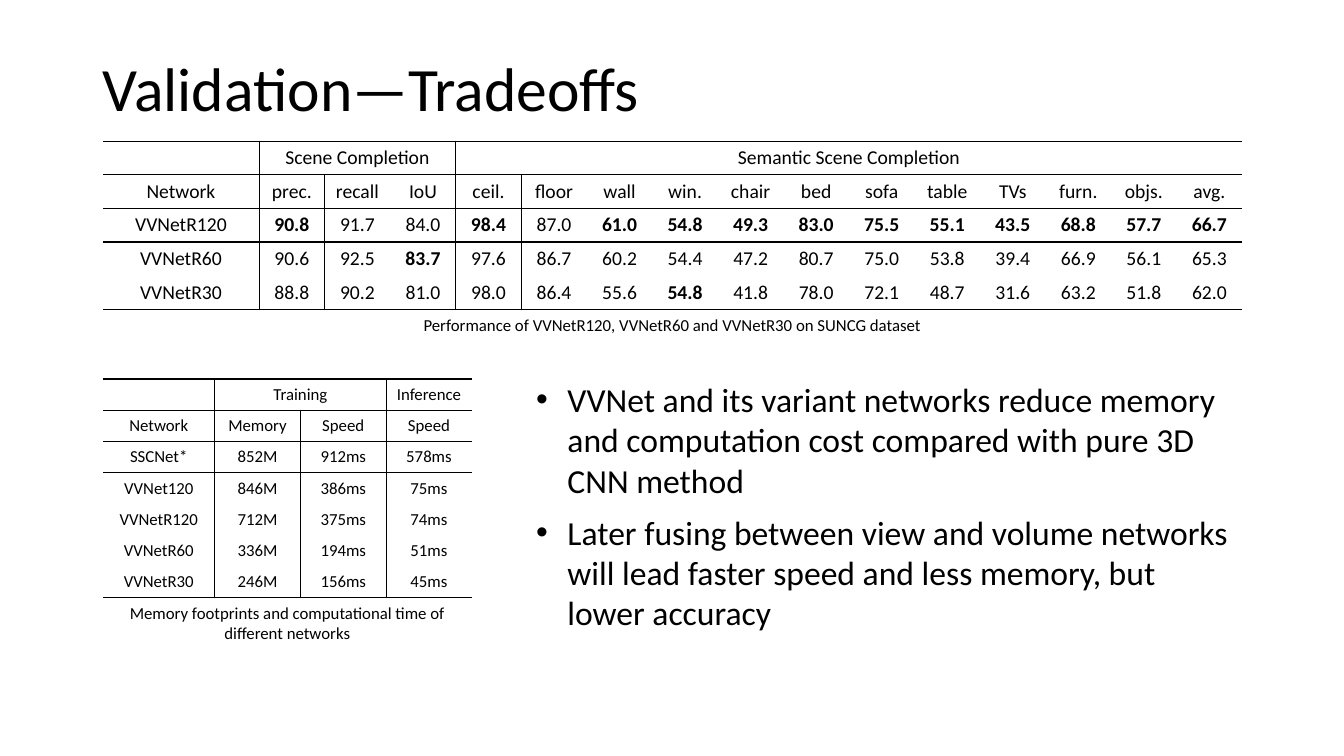
from lxml.etree import SubElement as Sub
from pptx import Presentation
from pptx.dml.color import RGBColor
from pptx.enum.text import MSO_ANCHOR as Anchor, PP_ALIGN as Align
from pptx.oxml.ns import qn
from pptx.util import Inches, Pt

BLACK = RGBColor(0, 0, 0)
FONT = "Calibri"
WIDE, HIGH = 13.33, 7.5
LEFT, RIGHT = 1.02, 12.32
BOLD = "!"

SCORES = [
    "|Scene Completion|||Semantic Scene Completion|||||||||||",
    "Network|prec.|recall|IoU|ceil.|floor|wall|win.|chair|bed|sofa|table|TVs|furn.|objs.|avg.",
    "VVNetR120|!90.8|91.7|84.0|!98.4|87.0|!61.0|!54.8|!49.3|!83.0|!75.5|!55.1|!43.5|!68.8|!57.7|!66.7",
    "VVNetR60|90.6|92.5|!83.7|97.6|86.7|60.2|54.4|47.2|80.7|75.0|53.8|39.4|66.9|56.1|65.3",
    "VVNetR30|88.8|90.2|81.0|98.0|86.4|55.6|!54.8|41.8|78.0|72.1|48.7|31.6|63.2|51.8|62.0",
]
COSTS = [
    "|Training||Inference",
    "Network|Memory|Speed|Speed",
    "SSCNet*|852M|912ms|578ms",
    "VVNet120|846M|386ms|75ms",
    "VVNetR120|712M|375ms|74ms",
    "VVNetR60|336M|194ms|51ms",
    "VVNetR30|246M|156ms|45ms",
]
POINTS = [
    "VVNet and its variant networks reduce memory and computation cost "
    "compared with pure 3D CNN method",
    "Later fusing between view and volume networks will lead faster speed "
    "and less memory, but lower accuracy",
]


def style(para, size, align=Align.LEFT):
    para.alignment = align
    para.font.name = FONT
    para.font.size = Pt(size)
    para.font.color.rgb = BLACK


def add_text(slide, box, lines, size, align=Align.LEFT, wrap=True):
    frame = slide.shapes.add_textbox(*map(Inches, box)).text_frame
    frame.word_wrap = wrap
    frame.text = "\n".join(lines)
    for para in frame.paragraphs:
        style(para, size, align)
    return frame


def add_title(slide, box, text):
    frame = add_text(slide, box, [text], 44)
    frame.vertical_anchor = Anchor.MIDDLE
    frame.paragraphs[0].line_spacing = 0.9


def add_edges(cell, sides):
    props = cell._tc.get_or_add_tcPr()
    for side, shown in sides:
        line = Sub(props, qn(f"a:ln{side}"), w=str(Pt(1)))
        if shown:
            fill = Sub(line, qn("a:solidFill"))
            Sub(fill, qn("a:srgbClr"), val=str(BLACK))
        else:
            Sub(line, qn("a:noFill"))


def add_grid(slide, box, data, first, size, spans, rows, heads, cols):
    data = [line.split("|") for line in data]
    count, width = len(data), len(data[0])
    table = slide.shapes.add_table(count, width, *map(Inches, box)).table
    table.first_row = table.horz_banding = False
    for i, col in enumerate(table.columns):
        col.width = Inches((box[2] - first) / (width - 1) if i else first)
    for row in table.rows:
        row.height = Inches(box[3] / count)
    for start, end in spans:
        table.cell(0, start).merge(table.cell(0, end))
    for r, line in enumerate(data):
        marks = cols if r else heads
        for c, text in enumerate(line):
            cell = table.cell(r, c)
            end = c + (cell.span_width if cell.is_merge_origin else 1)
            add_edges(cell, [("L", c in marks), ("R", end in marks),
                             ("T", r in rows), ("B", r + 1 in rows)])
            cell.fill.background()
            cell.margin_left = cell.margin_right = Inches(0.02)
            cell.margin_top = cell.margin_bottom = Inches(0.02)
            cell.vertical_anchor = Anchor.MIDDLE
            cell.text = text.removeprefix(BOLD)
            para = cell.text_frame.paragraphs[0]
            style(para, size, Align.CENTER)
            para.font.bold = text.startswith(BOLD)


def add_scores(slide, box):
    x, y, w, h = box
    add_grid(slide, (x, y, w, h - 0.3), SCORES, 1.55, 14, [(1, 3), (4, 15)],
             {0, 1, 2, 3, 5}, {1, 4}, {1, 2, 4, 5})
    add_text(slide, (x, y + h - 0.3, w, 0.3),
             ["Performance of VVNetR120, VVNetR60 and VVNetR30 on SUNCG dataset"],
             12, Align.CENTER, False)


def add_costs(slide, box):
    x, y, w, h = box
    add_grid(slide, (x, y, w, h - 0.5), COSTS, 1.11, 12, [(1, 2)],
             {0, 1, 2, 3, 7}, {1, 3}, {1, 2, 3})
    add_text(slide, (x, y + h - 0.5, w, 0.5),
             ["Memory footprints and computational time of", "different networks"],
             12, Align.CENTER, False)


def add_points(slide, box):
    x, y, w, h = box
    step = h / len(POINTS)
    for i, text in enumerate(POINTS):
        frame = add_text(slide, (x, y + i * step, w, step), [text], 24)
        props = frame.paragraphs[0]._p.get_or_add_pPr()
        props.set("marL", str(Inches(0.31)))
        props.set("indent", str(-Inches(0.31)))
        Sub(props, qn("a:buFont"), typeface="Arial")
        Sub(props, qn("a:buChar"), char="•")
        props.append(props.find(qn("a:defRPr")))


def main():
    deck = Presentation()
    deck.slide_width, deck.slide_height = Inches(WIDE), Inches(HIGH)
    slide = deck.slides.add_slide(deck.slide_layouts[6])
    add_title(slide, (LEFT - 0.1, 0.4, 11.5, 1.01), "Validation—Tradeoffs")
    add_scores(slide, (LEFT, 1.4, RIGHT - LEFT, 1.97))
    add_costs(slide, (LEFT, 3.76, 3.66, 2.67))
    add_points(slide, (5.22, 3.71, RIGHT - 5.22, 2.63))
    deck.save("out.pptx")


if __name__ == "__main__":
    main()
